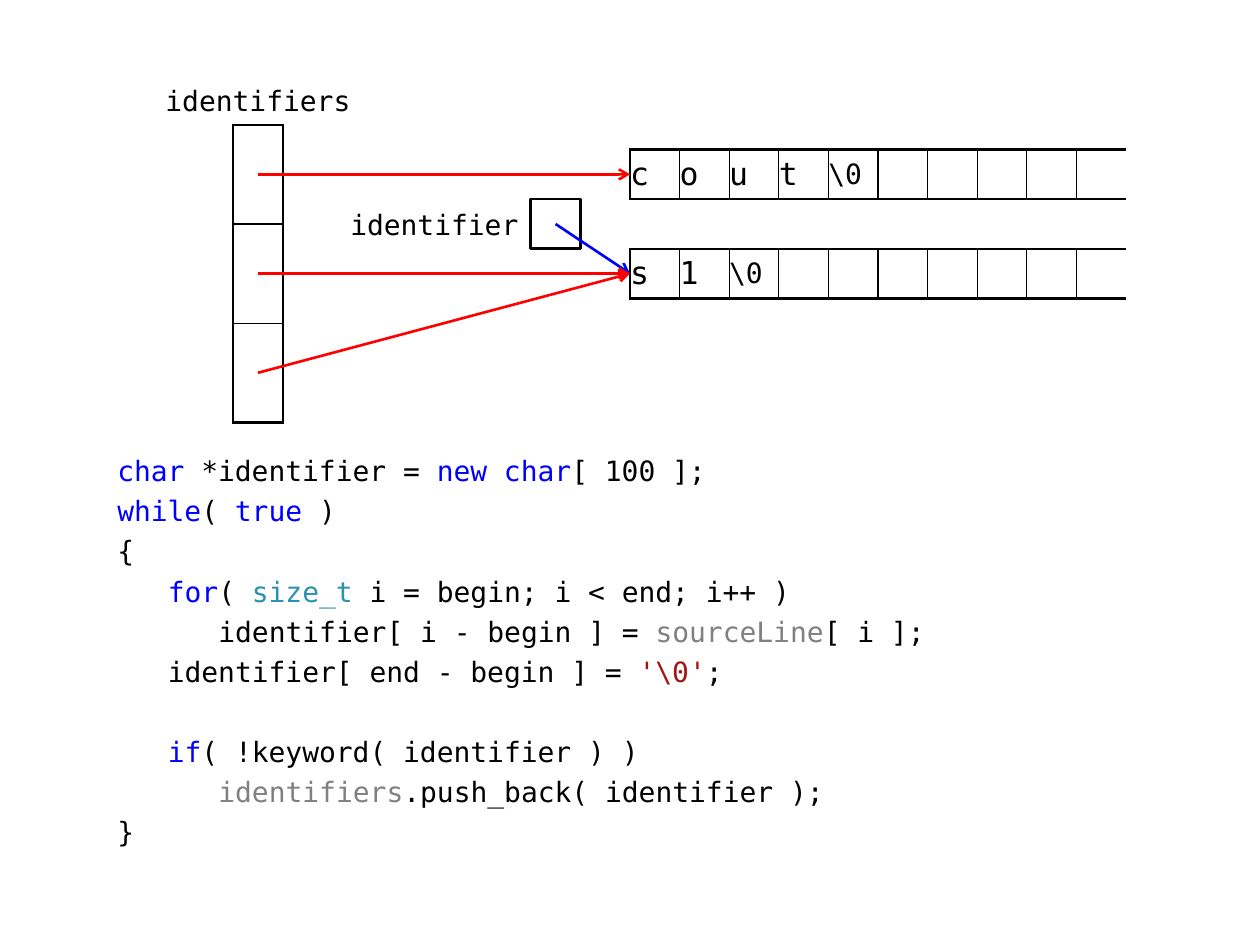
import dataclasses
import typing

import lxml.etree
import pptx
import pptx.dml.color
import pptx.enum.shapes
import pptx.enum.text
import pptx.oxml.ns
import pptx.util

Pt = pptx.util.Pt
ALIGN = pptx.enum.text.PP_ALIGN
MIDDLE = pptx.enum.text.MSO_ANCHOR.MIDDLE

FONT = "DejaVu Sans Mono"
BLACK, WHITE, RED, BLUE = "000000", "FFFFFF", "FF0000", "0000FF"
TEAL, GRAY, BROWN = "2B91AF", "808080", "A31515"
THICK, THIN = 1.5, 0.75

# Diagram grid: one cell is a 28.35 pt square
CELL = 28.35
ARRAY_LEFT = 360
VECTOR_LEFT = ARRAY_LEFT - 8 * CELL
VECTOR_TOP = 71.3
VECTOR_MIDDLE = VECTOR_LEFT + CELL / 2
COUT_TOP = VECTOR_TOP + CELL / 2
POINTER_LEFT = ARRAY_LEFT - 2 * CELL
POINTER_TOP = COUT_TOP + CELL
S1_TOP = POINTER_TOP + CELL

# Code listing: one indent level is three characters wide
INDENT = 28.9
LINE_GAP = 3.8
BLANK_LINE = 22.4


@dataclasses.dataclass
class Grid:
    left: float
    top: float
    rows: int
    columns: int
    row_height: float
    texts: tuple[str, ...] = ()
    open_right: bool = False


@dataclasses.dataclass
class Label:
    text: str
    left: float
    top: float
    width: float
    alignment: typing.Any


@dataclasses.dataclass
class Arrow:
    start: tuple[float, float]
    end: tuple[float, float]
    color: str = RED


@dataclasses.dataclass
class CodeLine:
    level: int
    tokens: tuple[tuple[str, str], ...]
    space_before: float = LINE_GAP


def rgb(color: str) -> pptx.dml.color.RGBColor:
    return pptx.dml.color.RGBColor.from_string(color)


def apply_format(target: typing.Any, values: dict[str, typing.Any]) -> None:
    for name, value in values.items():
        setattr(target, name, value)


def add_run(paragraph, text: str, color: str = BLACK, size: float = 16) -> None:
    run = paragraph.add_run()
    run.text = text
    apply_format(run.font, {"name": FONT, "size": Pt(size)})
    run.font.color.rgb = rgb(color)


def set_borders(cell, widths: dict[str, float]) -> None:
    """Draw the cell's edges; a width of zero hides an edge."""
    properties = cell._tc.get_or_add_tcPr()
    for index, (edge, width) in enumerate(widths.items()):
        line = lxml.etree.Element(pptx.oxml.ns.qn(f"a:{edge}"), w=str(int(Pt(width))))
        if width:
            fill = lxml.etree.SubElement(line, pptx.oxml.ns.qn("a:solidFill"))
            lxml.etree.SubElement(fill, pptx.oxml.ns.qn("a:srgbClr"), val=BLACK)
        else:
            lxml.etree.SubElement(line, pptx.oxml.ns.qn("a:noFill"))
        properties.insert(index, line)


def add_grid(slide, grid: Grid) -> None:
    table = slide.shapes.add_table(
        grid.rows, grid.columns, Pt(grid.left), Pt(grid.top),
        Pt(grid.columns * CELL), Pt(grid.rows * grid.row_height)).table
    apply_format(table, {"first_row": False, "horz_banding": False})
    for column in table.columns:
        column.width = Pt(CELL)
    for row in table.rows:
        row.height = Pt(grid.row_height)
    last_row, last_column = grid.rows - 1, grid.columns - 1
    right_edge = 0 if grid.open_right else THICK
    for index, cell in enumerate(table.iter_cells()):
        row, column = divmod(index, grid.columns)
        apply_format(cell, {"margin_left": 0, "margin_right": 0, "margin_top": 0,
                            "margin_bottom": 0, "vertical_anchor": MIDDLE})
        cell.fill.background()
        set_borders(cell, {
            "lnL": THICK if column == 0 else THIN,
            "lnR": right_edge if column == last_column else THIN,
            "lnT": THICK if row == 0 else THIN,
            "lnB": THICK if row == last_row else THIN,
        })
        if index < len(grid.texts):
            text = grid.texts[index]
            add_run(cell.text_frame.paragraphs[0], text, size=18 if len(text) == 1 else 16)


def add_label(slide, label: Label) -> None:
    shape = slide.shapes.add_textbox(Pt(label.left), Pt(label.top), Pt(label.width), Pt(CELL))
    apply_format(shape.text_frame, {"word_wrap": True, "vertical_anchor": MIDDLE})
    paragraph = shape.text_frame.paragraphs[0]
    paragraph.alignment = label.alignment
    add_run(paragraph, label.text)


def add_arrow(slide, arrow: Arrow) -> None:
    connector = slide.shapes.add_connector(
        pptx.enum.shapes.MSO_CONNECTOR.STRAIGHT,
        *(Pt(value) for value in arrow.start + arrow.end))
    connector.line.color.rgb = rgb(arrow.color)
    connector.line.width = Pt(THICK)
    lxml.etree.SubElement(connector.line._get_or_add_ln(),
                          pptx.oxml.ns.qn("a:tailEnd"), type="arrow")
    lxml.etree.SubElement(connector._element.spPr, pptx.oxml.ns.qn("a:effectLst"))


def add_pointer_box(slide) -> None:
    shape = slide.shapes.add_shape(pptx.enum.shapes.MSO_SHAPE.RECTANGLE,
                                   Pt(POINTER_LEFT), Pt(POINTER_TOP), Pt(CELL), Pt(CELL))
    shape.shadow.inherit = False
    shape.fill.solid()
    shape.fill.fore_color.rgb = rgb(WHITE)
    shape.line.color.rgb = rgb(BLACK)
    shape.line.width = Pt(THICK)


def add_code(slide, lines: list[CodeLine]) -> None:
    frame = slide.shapes.add_textbox(Pt(33.8), Pt(255.6), Pt(510.5), Pt(241.2)).text_frame
    apply_format(frame, {"word_wrap": True, "margin_left": Pt(4.3), "margin_right": Pt(2.9),
                         "margin_top": Pt(3.6), "margin_bottom": Pt(3.6)})
    for index, line in enumerate(lines):
        paragraph = frame.add_paragraph() if index else frame.paragraphs[0]
        paragraph.space_before = Pt(line.space_before)
        paragraph._p.get_or_add_pPr().set("marL", str(int(Pt(line.level * INDENT))))
        for text, color in line.tokens:
            add_run(paragraph, text, color)


CODE = [
    CodeLine(1, (("char", BLUE), (" *identifier = ", BLACK), ("new char", BLUE),
                 ("[ 100 ];", BLACK))),
    CodeLine(1, (("while", BLUE), ("( ", BLACK), ("true", BLUE), (" )", BLACK))),
    CodeLine(1, (("{", BLACK),)),
    CodeLine(2, (("for", BLUE), ("( ", BLACK), ("size_t", TEAL),
                 (" i = begin; i < end; i++ )", BLACK))),
    CodeLine(3, (("identifier[ i - begin ] = ", BLACK), ("sourceLine", GRAY),
                 ("[ i ];", BLACK))),
    CodeLine(2, (("identifier[ end - begin ] = ", BLACK), ("'\\0'", BROWN), (";", BLACK))),
    CodeLine(2, (("if", BLUE), ("( !keyword( identifier ) )", BLACK)), LINE_GAP + BLANK_LINE),
    CodeLine(3, (("identifiers", GRAY), (".push_back( identifier );", BLACK))),
    CodeLine(1, (("}", BLACK),)),
]


def main() -> None:
    presentation = pptx.Presentation()
    apply_format(presentation, {"slide_width": Pt(720), "slide_height": Pt(540)})
    slide = presentation.slides.add_slide(presentation.slide_layouts[6])

    add_code(slide, CODE)

    # Character arrays and the vector of pointers
    add_grid(slide, Grid(ARRAY_LEFT, COUT_TOP, 1, 10, CELL, ("c", "o", "u", "t", "\\0"), True))
    add_grid(slide, Grid(ARRAY_LEFT, S1_TOP, 1, 10, CELL, ("s", "1", "\\0"), True))
    add_grid(slide, Grid(VECTOR_LEFT, VECTOR_TOP, 3, 1, 2 * CELL))
    add_pointer_box(slide)

    # Variable names
    add_label(slide, Label("identifiers", VECTOR_LEFT - 2 * CELL, VECTOR_TOP - CELL,
                           5 * CELL, ALIGN.CENTER))
    add_label(slide, Label("identifier", POINTER_LEFT - 4 * CELL, POINTER_TOP,
                           4 * CELL, ALIGN.RIGHT))

    # Pointers to the arrays
    s1_start = (ARRAY_LEFT, S1_TOP + CELL / 2)
    add_arrow(slide, Arrow((POINTER_LEFT + CELL / 2, POINTER_TOP + CELL / 2), s1_start, BLUE))
    targets = [(ARRAY_LEFT, COUT_TOP + CELL / 2), s1_start, s1_start]
    for row, target in enumerate(targets):
        add_arrow(slide, Arrow((VECTOR_MIDDLE, VECTOR_TOP + (2 * row + 1) * CELL), target))

    presentation.save("out.pptx")


if __name__ == "__main__":
    main()
